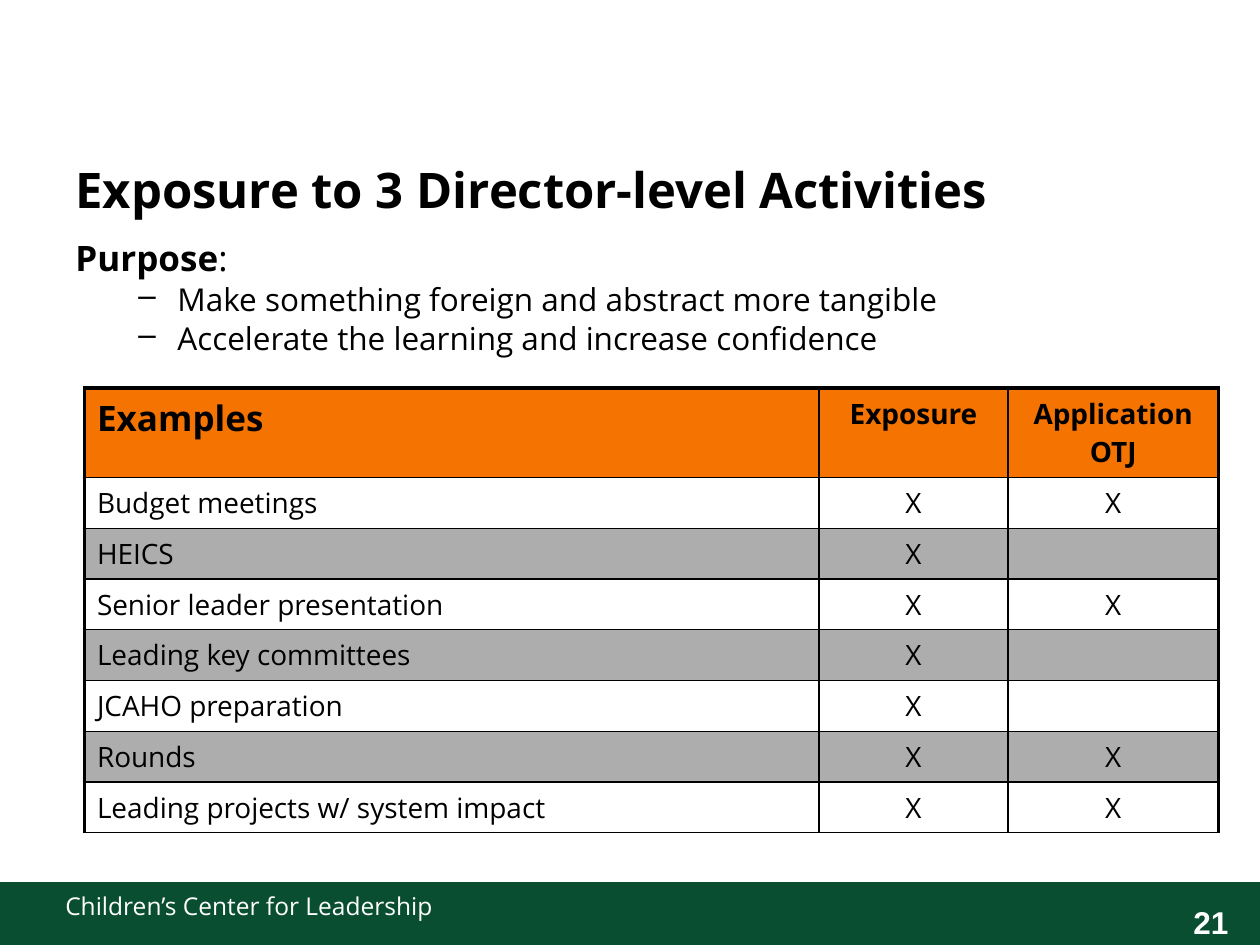
from lxml.etree import SubElement
from pptx import Presentation
from pptx.dml.color import RGBColor
from pptx.enum.shapes import MSO_SHAPE
from pptx.enum.text import MSO_ANCHOR, PP_ALIGN
from pptx.oxml.ns import qn
from pptx.util import Inches, Pt

COLORS = {"black": "000000", "white": "FFFFFF", "green": "0A4E31",
          "orange": "F57300", "gray": "ADADAD"}
HEADINGS = [("Examples", 20), ("Exposure", 16), ("Application OTJ", 16)]
ACTIVITIES = [
    ("Budget meetings", "X", "X"),
    ("HEICS", "X", ""),
    ("Senior leader presentation", "X", "X"),
    ("Leading key committees", "X", ""),
    ("JCAHO preparation", "X", ""),
    ("Rounds", "X", "X"),
    ("Leading projects w/ system impact", "X", "X"),
]
PURPOSES = ["Make something foreign and abstract more tangible",
            "Accelerate the learning and increase confidence"]


def rgb(name):
    return RGBColor.from_string(COLORS[name])


def write(paragraph, text, size=16, bold=False, color="black",
          font="Open Sans", align=PP_ALIGN.LEFT):
    paragraph.alignment = align
    run = paragraph.add_run()
    run.text = text
    run.font.size = Pt(size)
    run.font.bold = bold
    run.font.name = font
    run.font.color.rgb = rgb(color)


def add_frame(slide, left, top, width, height, anchor=MSO_ANCHOR.TOP):
    box = slide.shapes.add_textbox(Inches(left), Inches(top),
                                   Inches(width), Inches(height))
    frame = box.text_frame
    frame.word_wrap = True
    frame.vertical_anchor = anchor
    return frame


def add_dash(paragraph, margin, indent):
    props = paragraph._p.get_or_add_pPr()
    props.set("marL", str(Inches(margin)))
    props.set("indent", str(Inches(indent)))
    SubElement(props, qn("a:buChar")).set("char", "–")


def set_borders(cell, **widths):
    props = cell._tc.get_or_add_tcPr()
    for position, side in enumerate("LRTB"):
        line = props.makeelement(qn(f"a:ln{side}"),
                                 {"w": str(Pt(widths.get(side, 1)))})
        fill = SubElement(line, qn("a:solidFill"))
        SubElement(fill, qn("a:srgbClr")).set("val", COLORS["black"])
        props.insert(position, line)


def add_footer(slide, left, top, width, height):
    band = slide.shapes.add_shape(MSO_SHAPE.RECTANGLE, Inches(left), Inches(top),
                                  Inches(width), Inches(height))
    band.shadow.inherit = False
    band.fill.solid()
    band.fill.fore_color.rgb = rgb("green")
    band.line.fill.background()

    center_name = add_frame(slide, left + 0.42, top + 0.02, 7.9, 0.5)
    write(center_name.paragraphs[0], "Children’s Center for Leadership",
          size=14, color="white")
    page_number = add_frame(slide, left + width - 0.78, top + 0.12, 0.78, 0.4)
    write(page_number.paragraphs[0], "21", size=18, bold=True, color="white",
          font="Arial", align=PP_ALIGN.CENTER)


def add_title(slide, left, top, width, height):
    title = add_frame(slide, left, top, width, height, MSO_ANCHOR.MIDDLE)
    write(title.paragraphs[0], "Exposure to 3 Director-level Activities",
          size=28, bold=True)


def add_purpose(slide, left, top, width, height):
    body = add_frame(slide, left, top, width, height)
    write(body.paragraphs[0], "Purpose", size=20, bold=True)
    write(body.paragraphs[0], ":", size=20)
    for purpose in PURPOSES:
        item = body.add_paragraph()
        item.level = 1
        item.space_before = Pt(0.7)
        write(item, purpose, size=18)
        add_dash(item, 0.81, -0.31)


def add_activities(slide, left, top, width, height, header_height=0.71):
    row_height = (height - header_height) / len(ACTIVITIES)
    table = slide.shapes.add_table(
        len(ACTIVITIES) + 1, len(HEADINGS), Inches(left), Inches(top),
        Inches(width), Inches(height)).table
    for column, share in zip(table.columns, (5.83, 1.5, 1.67)):
        column.width = Inches(width * share / 9)

    headings, sizes = zip(*HEADINGS)
    for r, texts in enumerate([headings, *ACTIVITIES]):
        is_header = r == 0
        table.rows[r].height = Inches(header_height if is_header else row_height)
        fill = "orange" if is_header else "white" if r % 2 else "gray"
        for c, text in enumerate(texts):
            cell = table.cell(r, c)
            cell.fill.solid()
            cell.fill.fore_color.rgb = rgb(fill)
            set_borders(cell, L=1 if c else 2.25, T=2.25 if is_header else 1,
                        R=2.25 if c == len(texts) - 1 else 1)
            write(cell.text_frame.paragraphs[0], text,
                  size=sizes[c] if is_header else 16, bold=is_header,
                  align=PP_ALIGN.CENTER if c else PP_ALIGN.LEFT)


def main():
    deck = Presentation()
    deck.slide_width, deck.slide_height = Inches(10), Inches(7.5)
    slide = deck.slides.add_slide(deck.slide_layouts[6])
    add_footer(slide, 0, 7, 10, 0.55)
    add_title(slide, 0.5, 1, 9, 1)
    add_purpose(slide, 0.5, 1.83, 8.83, 1.25)
    add_activities(slide, 0.67, 3.08, 9, 3.53)
    deck.save("out.pptx")


if __name__ == "__main__":
    main()
